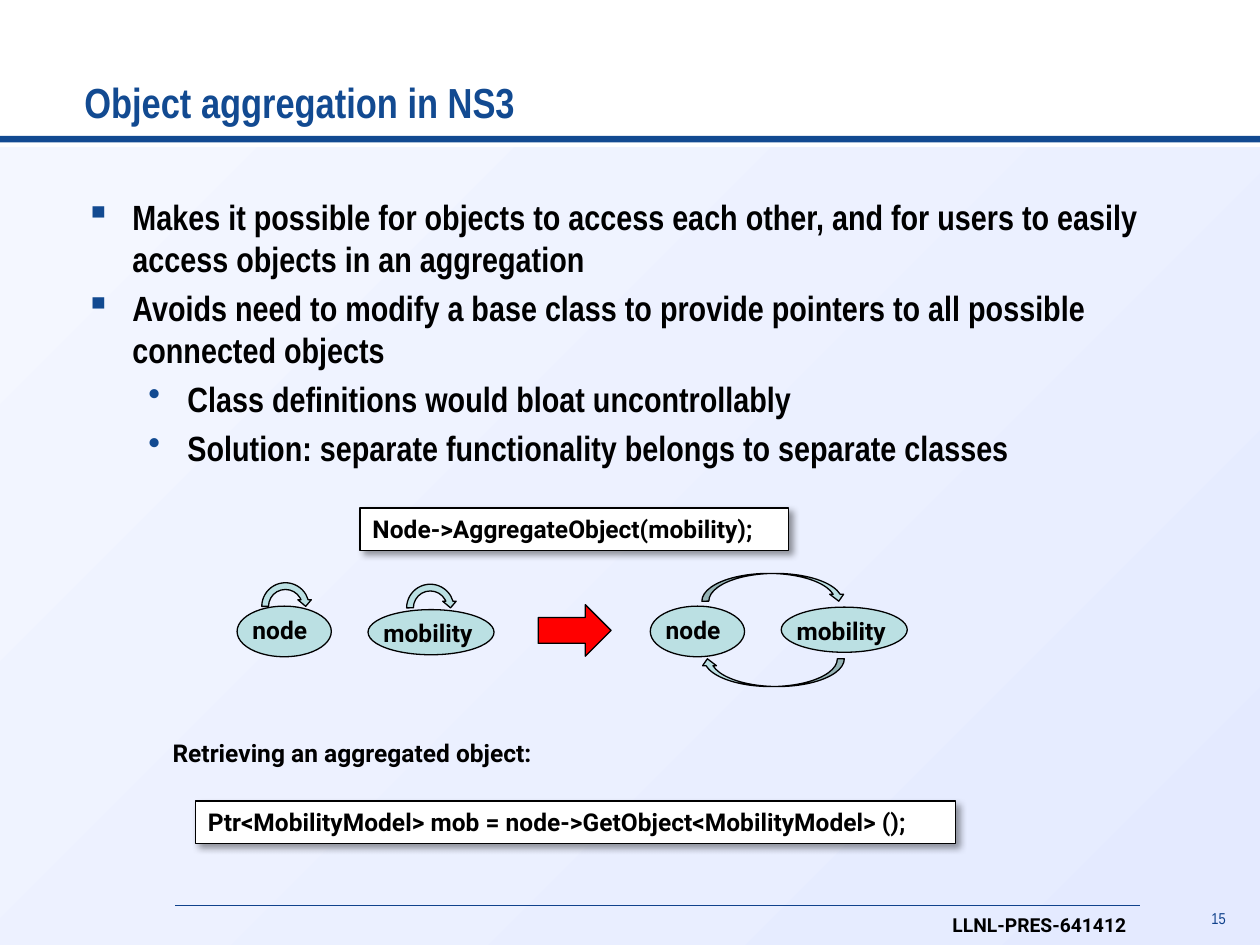
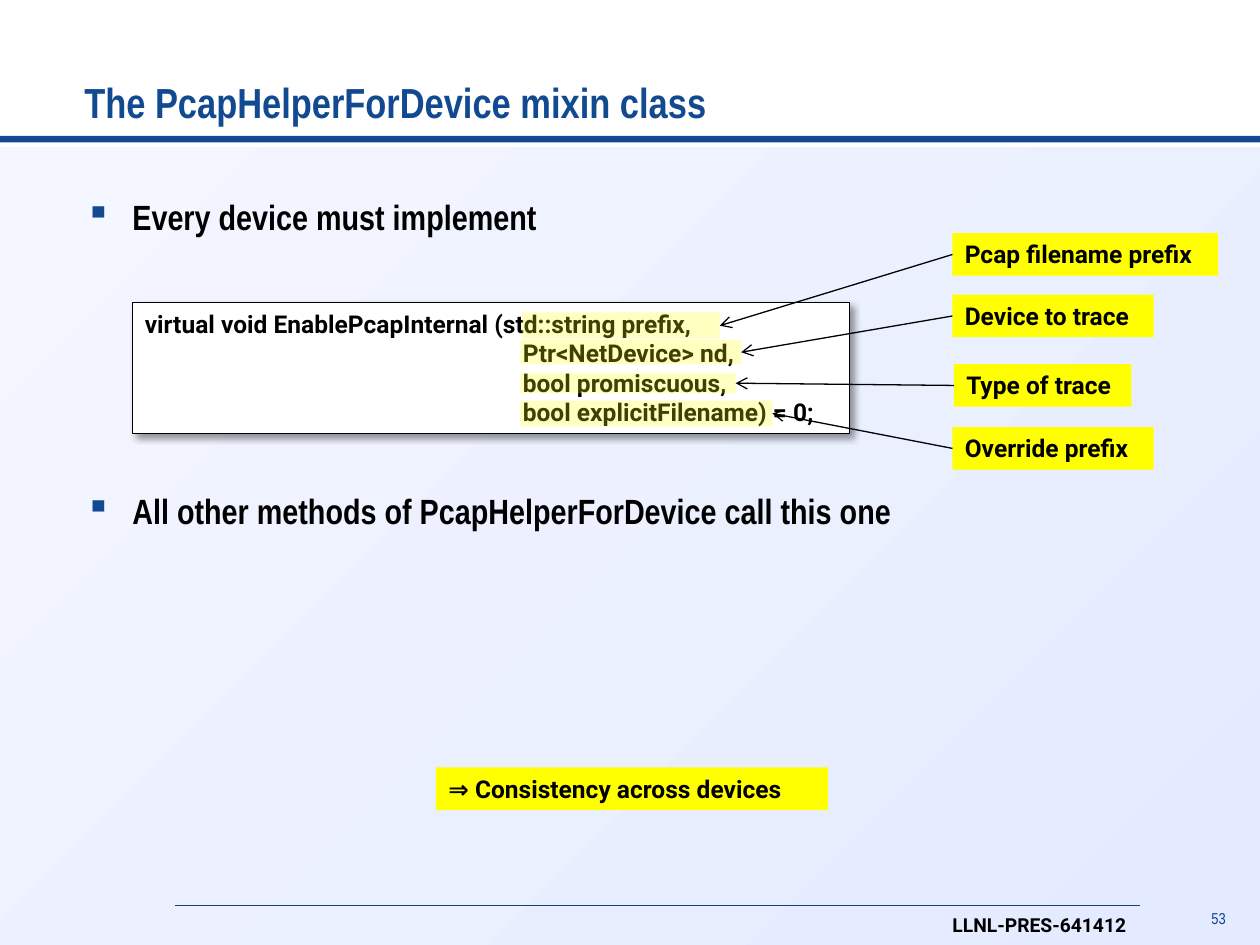
"""Build two slides on object aggregation and the pcap helper mixin."""
from dataclasses import dataclass

from lxml.etree import SubElement
from pptx import Presentation
from pptx.dml.color import RGBColor
from pptx.enum.shapes import MSO_CONNECTOR as CONN, MSO_SHAPE as SHAPE
from pptx.enum.text import MSO_ANCHOR as ANCHOR, PP_ALIGN as ALIGN
from pptx.oxml import parse_xml
from pptx.oxml.ns import nsdecls, qn
from pptx.util import Cm, Pt

COLORS = {
    "title": "124A91", "footer": "10428C", "text": "000000", "white": "FFFFFF",
    "sky_from": "F4F7FF", "sky_to": "E4EAFF", "object": "BBE0E3",
    "arrow": "FF0000", "mark": "FFFF00",
}
NARROW, BODY = "Arial Narrow", "Roboto"
LABEL_H = 0.86


@dataclass
class Box:
    x: float
    y: float
    w: float
    h: float = LABEL_H


@dataclass
class Style:
    size: float = 14
    font: str = BODY
    color: str = "text"
    bold: bool = True


@dataclass
class Bullet:
    text: str
    level: int = 0
    before: float = 4


@dataclass
class Node:
    name: str
    oval: Box
    label_w: float


@dataclass
class Param:
    mark: Box
    note: Box
    text: str


TITLE = Style(24, NARROW, "title")
BULLET = Style(20, NARROW)
FOOTER = Style(11)
NUMBER = Style(9, NARROW, "footer", False)
CODE = Style()
BULLET_LEVELS = [("▪", 0.95, -0.95), ("•", 2.06, -0.79)]

NODES = [
    Node("node", Box(4.78, 12.22, 1.9, 1.02), 1.75),
    Node("mobility", Box(7.42, 12.29, 2.54, 0.91), 2.46),
    Node("node", Box(13.11, 12.22, 1.9, 1.02), 1.75),
    Node("mobility", Box(15.75, 12.24, 2.54, 0.91), 2.46),
]
PARAMS = [
    Param(Box(10.52, 6.3, 3.99, 0.53), Box(19.2, 4.7, 5.36), "Pcap filename prefix"),
    Param(Box(10.49, 6.86, 4.45, 0.48), Box(19.2, 5.94, 4.06), "Device to trace"),
    Param(Box(10.49, 7.52, 4.34, 0.41), Box(19.23, 7.34, 3.58), "Type of trace"),
    Param(Box(10.49, 8.08, 5.08, 0.51), Box(19.2, 8.61, 4.06), "Override prefix"),
]


def rgb(name: str) -> RGBColor:
    """Return the named colour."""
    return RGBColor.from_string(COLORS[name])


def add_run(p, text: str, style: Style) -> None:
    """Append one styled run to a paragraph."""
    r = p.add_run()
    r.text = text
    r.font.size, r.font.name, r.font.bold = Pt(style.size), style.font, style.bold
    r.font.color.rgb = rgb(style.color)


def write(sp, lines: list[str], style: Style, hanging: float = 0):
    """Write left-aligned lines, indenting all but the first."""
    tf = sp.text_frame
    tf.word_wrap = True
    tf.vertical_anchor = ANCHOR.TOP
    for i, line in enumerate(lines):
        p = tf.add_paragraph() if i else tf.paragraphs[0]
        p.alignment = ALIGN.LEFT
        if i and hanging:
            p._p.get_or_add_pPr().set("marL", str(Cm(hanging)))
        add_run(p, line, style)
    return tf


def add_text(s, box: Box, text: str, style: Style):
    """Add a text box holding a single line."""
    sp = s.shapes.add_textbox(Cm(box.x), Cm(box.y), Cm(box.w), Cm(box.h))
    return write(sp, [text], style)


def add_shape(s, kind: SHAPE, box: Box, fill: str, outlined: bool = False):
    """Add a flat preset shape, optionally with a thin black outline."""
    sp = s.shapes.add_shape(kind, Cm(box.x), Cm(box.y), Cm(box.w), Cm(box.h))
    sp.shadow.inherit = False
    sp.fill.solid()
    sp.fill.fore_color.rgb = rgb(fill)
    if outlined:
        sp.line.color.rgb = rgb("text")
        sp.line.width = Pt(0.75)
    else:
        sp.line.fill.background()
    return sp


def add_code(s, box: Box, lines: list[str], hanging: float = 0) -> None:
    """Add a white code panel with a soft drop shadow."""
    sp = add_shape(s, SHAPE.RECTANGLE, box, "white", True)
    effects = sp._element.spPr.find(qn("a:effectLst"))
    effects.append(parse_xml(
        f'<a:outerShdw {nsdecls("a")} blurRad="{Pt(4)}" dist="{Pt(3)}" dir="2700000" '
        f'algn="tl" rotWithShape="0"><a:srgbClr val="{COLORS["text"]}">'
        '<a:alpha val="40000"/></a:srgbClr></a:outerShdw>'))
    write(sp, lines, CODE, hanging)


def add_note(s, box: Box, text: str) -> None:
    """Add a yellow note."""
    write(add_shape(s, SHAPE.RECTANGLE, box, "mark"), [text], CODE)


def add_line(s, x1: float, y1: float, x2: float, y2: float,
             color: str, width: float, arrow: bool = False) -> None:
    """Add a straight line, optionally ending in an open arrowhead."""
    c = s.shapes.add_connector(CONN.STRAIGHT, Cm(x1), Cm(y1), Cm(x2), Cm(y2))
    c.line.color.rgb = rgb(color)
    c.line.width = Pt(width)
    if arrow:
        SubElement(c.line._get_or_add_ln(), qn("a:tailEnd"), type="arrow")
    SubElement(c._element.spPr, qn("a:effectLst"))


def add_bullets(s, bullets: list[Bullet]) -> None:
    """Add the bulleted body text."""
    tf = s.shapes.add_textbox(Cm(1.47), Cm(3.81), Cm(22.43), Cm(13.13)).text_frame
    tf.word_wrap = True
    for i, bullet in enumerate(bullets):
        p = tf.add_paragraph() if i else tf.paragraphs[0]
        char, margin, indent = BULLET_LEVELS[bullet.level]
        pPr = p._p.get_or_add_pPr()
        pPr.set("marL", str(Cm(margin)))
        pPr.set("indent", str(Cm(indent)))
        SubElement(SubElement(pPr, qn("a:buClr")), qn("a:srgbClr"), val=COLORS["title"])
        SubElement(pPr, qn("a:buChar"), char=char)
        p.level = bullet.level
        if i:
            p.space_before = Pt(bullet.before)
        add_run(p, bullet.text, BULLET)


def add_base(prs, title: str, number: int):
    """Add a slide with the shared background, title and footer."""
    s = prs.slides.add_slide(prs.slide_layouts[6])
    sky = add_shape(s, SHAPE.RECTANGLE, Box(0, 2.97, 25.4, 16.08), "sky_from")
    sky.fill.gradient()
    sky.fill.gradient_angle = 315
    for stop, name in zip(sky.fill.gradient_stops, ("sky_from", "sky_to")):
        stop.color.rgb = rgb(name)
    add_shape(s, SHAPE.RECTANGLE, Box(0, 2.74, 25.4, 0.13), "title")
    add_line(s, 3.53, 18.26, 22.99, 18.26, "footer", 0.5)
    page = add_text(s, Box(24.1, 18.29, 0.86, 0.56), str(number), NUMBER)
    page.margin_left = 0
    page.paragraphs[0].alignment = ALIGN.RIGHT
    page.paragraphs[0].line_spacing = 0.75
    add_text(s, Box(18.95, 18.29, 4.14, 0.74), "LLNL-PRES-641412", FOOTER)
    head = add_text(s, Box(1.7, 0.43, 22.07, 2.26), title, TITLE)
    head.margin_left = 0
    head.vertical_anchor = ANCHOR.BOTTOM
    return s


def build_aggregation(prs) -> None:
    """Build the object aggregation slide."""
    s = add_base(prs, "Object aggregation in NS3", 15)
    add_bullets(s, [
        Bullet("Makes it possible for objects to access each other, and for users "
               "to easily access objects in an aggregation"),
        Bullet("Avoids need to modify a base class to provide pointers to all "
               "possible connected objects"),
        Bullet("Class definitions would bloat uncontrollably", 1),
        Bullet("Solution: separate functionality belongs to separate classes", 1),
    ])
    for node in NODES:
        add_shape(s, SHAPE.OVAL, node.oval, "object", True)
        label = Box(node.oval.x + 0.06, node.oval.y + 0.05, node.label_w)
        add_text(s, label, node.name, CODE)
    for x, y in ((5.21, 11.68), (8.13, 11.71)):
        add_shape(s, SHAPE.CIRCULAR_ARROW, Box(x, y, 1.09, 1.09), "object", True)
    for x, y, turn in ((14.15, 11.56, 0), (14.12, 13.28, 180)):
        link = add_shape(s, SHAPE.CURVED_DOWN_ARROW, Box(x, y, 2.9, 0.56), "object", True)
        link.rotation = turn
    add_shape(s, SHAPE.RIGHT_ARROW, Box(10.85, 12.19, 1.47, 1.04), "arrow", True)
    add_code(s, Box(7.26, 10.24, 8.64), ["Node->AggregateObject(mobility);"])
    add_text(s, Box(3.23, 14.76, 8.28), "Retrieving an aggregated object:", CODE)
    add_code(s, Box(3.94, 16.15, 15.32),
             ["Ptr<MobilityModel> mob = node->GetObject<MobilityModel> ();"])


def build_mixin(prs) -> None:
    """Build the mixin class slide."""
    s = add_base(prs, "The PcapHelperForDevice mixin class", 53)
    add_bullets(s, [
        Bullet("Every device must implement"),
        Bullet("All other methods of PcapHelperForDevice call this one", before=144),
    ])
    add_note(s, Box(8.79, 15.47, 7.9), "⇒ Consistency across devices")
    add_code(s, Box(2.67, 6.1, 14.45, 2.64), [
        "virtual void EnablePcapInternal (std::string prefix,",
        "Ptr<NetDevice> nd,",
        "bool promiscuous,",
        "bool explicitFilename) = 0;",
    ], hanging=7.62)
    for param in PARAMS:
        mark, note = param.mark, param.note
        sp = add_shape(s, SHAPE.RECTANGLE, mark, "mark")
        color = sp._element.spPr.find(qn("a:solidFill"))[0]
        SubElement(color, qn("a:alpha"), val="25000")
        add_note(s, note, param.text)
        add_line(s, note.x, note.y + note.h / 2, mark.x + mark.w, mark.y + mark.h / 2,
                 "text", 0.75, True)


def main() -> None:
    """Build and save the presentation."""
    prs = Presentation()
    prs.slide_width, prs.slide_height = Cm(25.4), Cm(19.05)
    build_aggregation(prs)
    build_mixin(prs)
    prs.save("out.pptx")


if __name__ == "__main__":
    main()
